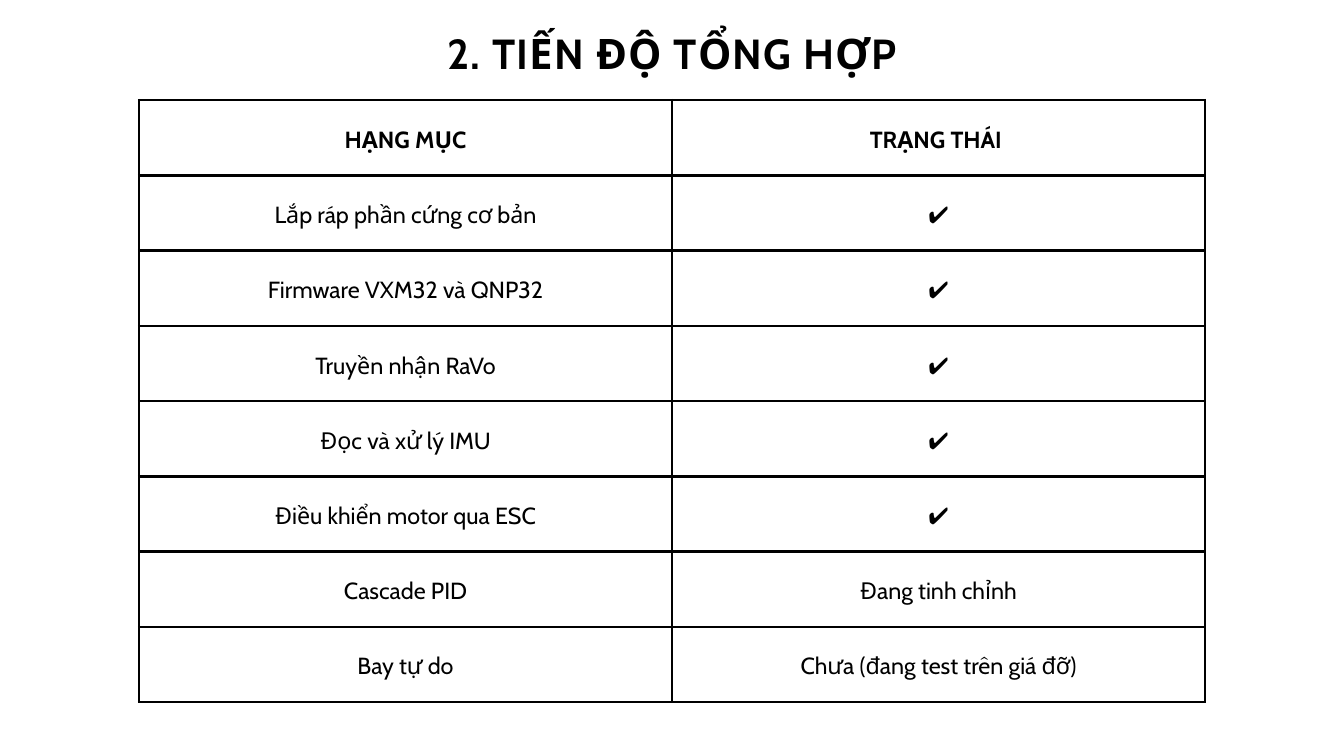
from lxml.etree import SubElement
from pptx import Presentation
from pptx.dml.color import RGBColor
from pptx.enum.text import MSO_ANCHOR, MSO_AUTO_SIZE, PP_ALIGN
from pptx.oxml import parse_xml
from pptx.oxml.ns import nsdecls, qn
from pptx.util import Pt

FONT = "Cabin"
BLACK = "000000"
ROWS = [
    ("HẠNG MỤC", "TRẠNG THÁI "),
    ("Lắp ráp phần cứng cơ bản", "✔"),
    ("Firmware VXM32 và QNP32", "✔"),
    ("Truyền nhận RaVo", "✔"),
    ("Đọc và xử lý IMU", "✔"),
    ("Điều khiển motor qua ESC", "✔"),
    ("Cascade PID", "Đang tinh chỉnh"),
    ("Bay tự do", "Chưa (đang test trên giá đỡ)"),
]


def rgb(color):
    return RGBColor.from_string(color)


def write(tf, text, size, line_spacing, bold):
    """Fill a text frame with one centred run and return the run."""
    tf.text = text
    p = tf.paragraphs[0]
    p.alignment = PP_ALIGN.CENTER
    p.line_spacing = Pt(line_spacing)
    r = p.runs[0]
    r.font.name = FONT
    r.font.size = Pt(size)
    r.font.bold = bold
    r.font.color.rgb = rgb(BLACK)
    for tag in ("a:ea", "a:cs"):
        SubElement(r.font._element, qn(tag), typeface=FONT)
    return r


def set_margins(target, margin):
    target.margin_left = target.margin_right = Pt(margin)
    target.margin_top = target.margin_bottom = Pt(margin)


def add_borders(cell, color, width):
    tcPr = cell._tc.get_or_add_tcPr()
    for i, side in enumerate(("lnL", "lnR", "lnT", "lnB")):
        tcPr.insert(i, parse_xml(
            f'<a:{side} {nsdecls("a")} w="{Pt(width)}"><a:solidFill>'
            f'<a:srgbClr val="{color}"/></a:solidFill></a:{side}>'))


def add_title(s, text):
    sp = s.shapes.add_textbox(Pt(280.8), Pt(24.5), Pt(878.4), Pt(56.9))
    tf = sp.text_frame
    tf.word_wrap = True
    tf.auto_size = MSO_AUTO_SIZE.SHAPE_TO_FIT_TEXT
    set_margins(tf, 0)
    r = write(tf, text, 45, 58.9, True)
    r.font._element.set("spc", "130")


def add_progress_table(s, rows):
    table = s.shapes.add_table(len(rows), len(rows[0]), Pt(149), Pt(107.3),
                               Pt(1142), Pt(645.12)).table
    table.horz_banding = False
    for i, row in enumerate(rows):
        for j, text in enumerate(row):
            cell = table.cell(i, j)
            cell.fill.background()
            cell.vertical_anchor = MSO_ANCHOR.MIDDLE
            set_margins(cell, 15)
            add_borders(cell, BLACK, 3)
            write(cell.text_frame, text, 25, 35, i == 0)


def main():
    prs = Presentation()
    prs.slide_width, prs.slide_height = Pt(1440), Pt(810)
    s = prs.slides.add_slide(prs.slide_layouts[6])
    add_progress_table(s, ROWS)
    add_title(s, "2. TIẾN ĐỘ TỔNG HỢP")
    prs.save("out.pptx")


if __name__ == "__main__":
    main()
